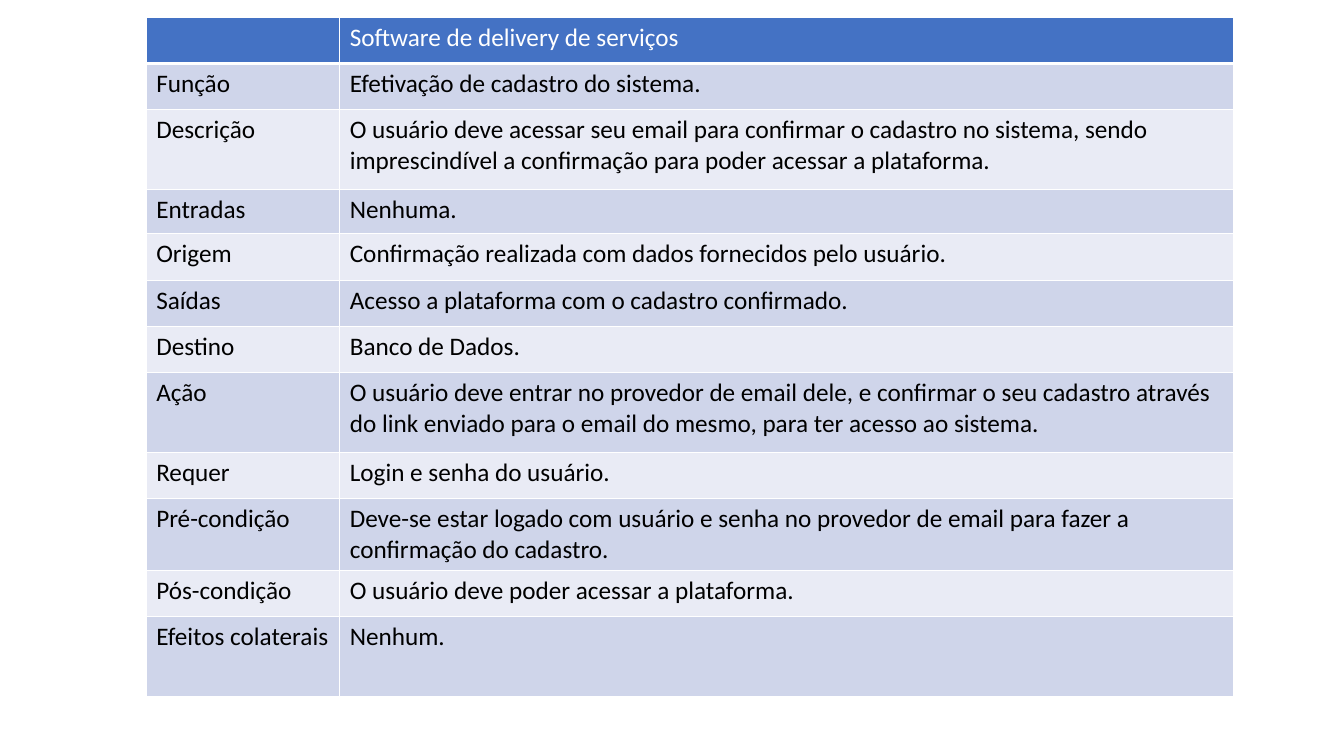
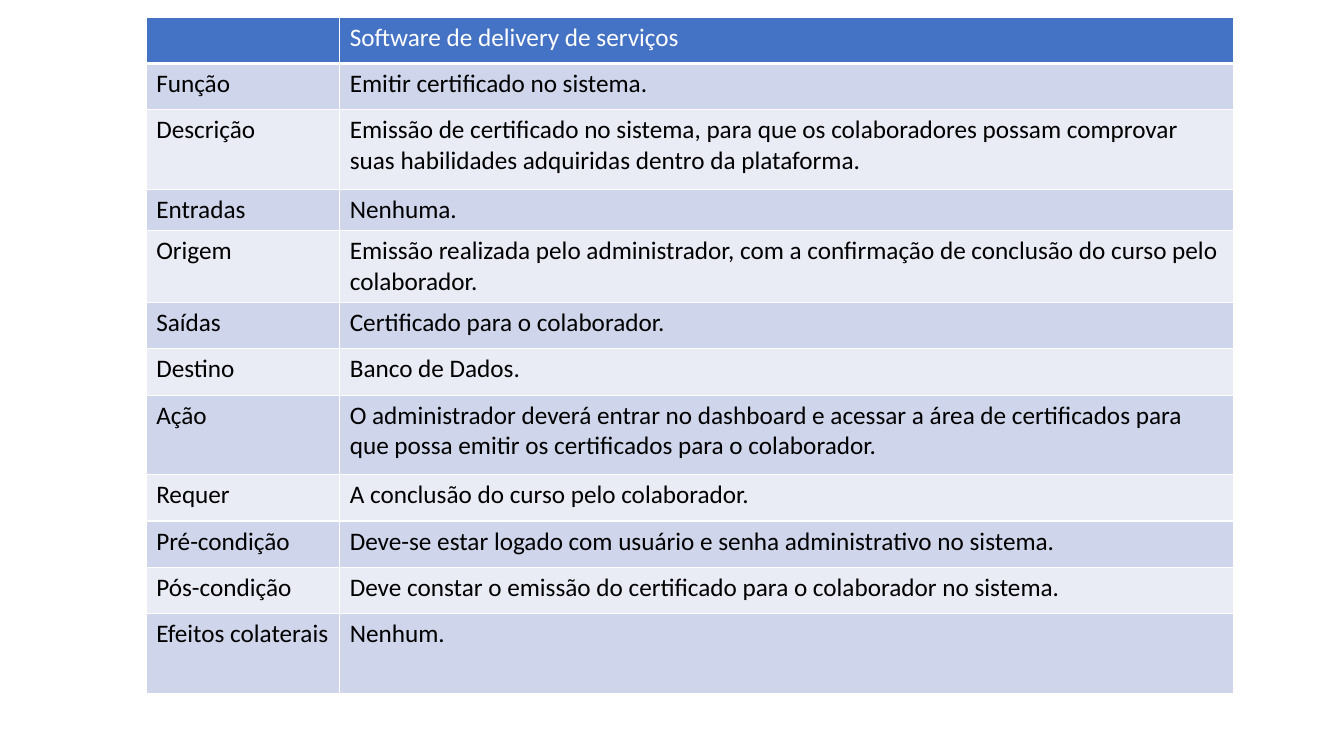
from lxml.etree import SubElement
from pptx import Presentation
from pptx.dml.color import RGBColor
from pptx.oxml.ns import qn
from pptx.util import Inches, Pt

# Shared look
FONT, TEXT_SIZE = "Calibri", 18
HEADER_FILL, HEADER_TEXT, BODY_TEXT, BORDER = "4472C4", "FFFFFF", "000000", "FFFFFF"
BAND_FILLS = ["E9EBF5", "CFD5EA"]
TABLE_LEFT, TABLE_TOP = 1.45, 0.17
COLUMN_WIDTHS = [1.92, 8.87]
SINGLE_ROW, DOUBLE_ROW = 0.46, 0.79
TALL_LABELS = ["Descrição", "Ação", "Efeitos colaterais"]

# Shared wording
HEADING = "Software de delivery de serviços"
LABELS = ["Função", "Descrição", "Entradas", "Origem", "Saídas", "Destino", "Ação",
          "Requer", "Pré-condição", "Pós-condição", "Efeitos colaterais"]

# One requirement per slide: height of the "Entradas" row, then a value for each label
REQUIREMENTS = [
    (0.44, [
        "Efetivação de cadastro do sistema.",
        "O usuário deve acessar seu email para confirmar o cadastro no sistema, sendo "
        "imprescindível a confirmação para poder acessar a plataforma.",
        "Nenhuma.",
        "Confirmação realizada com dados fornecidos pelo usuário.",
        "Acesso a plataforma com o cadastro confirmado.",
        "Banco de Dados.",
        "O usuário deve entrar no provedor de email dele, e confirmar o seu cadastro através "
        "do link enviado para o email do mesmo, para ter acesso ao sistema.",
        "Login e senha do usuário.",
        "Deve-se estar logado com usuário e senha no provedor de email para fazer a "
        "confirmação do cadastro.",
        "O usuário deve poder acessar a plataforma.",
        "Nenhum.",
    ]),
    (0.41, [
        "Emitir certificado no sistema.",
        "Emissão de certificado no sistema, para que os colaboradores possam comprovar "
        "suas habilidades adquiridas dentro da plataforma.",
        "Nenhuma.",
        "Emissão realizada pelo administrador, com a confirmação de conclusão do curso pelo "
        "colaborador.",
        "Certificado para o colaborador.",
        "Banco de Dados.",
        "O administrador deverá entrar no dashboard e acessar a área de certificados para "
        "que possa emitir os certificados para o colaborador.",
        "A conclusão do curso pelo colaborador.",
        "Deve-se estar logado com usuário e senha administrativo no sistema.",
        "Deve constar o emissão do certificado para o colaborador no sistema.",
        "Nenhum.",
    ]),
]


def color(hex_value):
    return RGBColor.from_string(hex_value)


def add_borders(cell, bottom_width):
    """Draw the four sides of a cell; only the bottom width varies."""
    properties = cell._tc.get_or_add_tcPr()
    for side, width in [("L", 1), ("R", 1), ("T", 1), ("B", bottom_width)]:
        line = SubElement(properties, qn(f"a:ln{side}"), w=str(Pt(width)))
        fill = SubElement(line, qn("a:solidFill"))
        SubElement(fill, qn("a:srgbClr"), val=BORDER)


deck = Presentation()
deck.slide_width, deck.slide_height = Inches(13.33), Inches(7.5)
blank_layout = deck.slide_layouts[6]

for entry_height, values in REQUIREMENTS:
    page = deck.slides.add_slide(blank_layout)
    rows = [("", HEADING), *zip(LABELS, values)]
    heights = [entry_height if label == "Entradas"
               else DOUBLE_ROW if label in TALL_LABELS else SINGLE_ROW
               for label, value in rows]

    # Table grid
    table = page.shapes.add_table(
        len(rows), len(COLUMN_WIDTHS), Inches(TABLE_LEFT), Inches(TABLE_TOP),
        Inches(sum(COLUMN_WIDTHS)), Inches(sum(heights))).table
    for column, width in zip(table.columns, COLUMN_WIDTHS):
        column.width = Inches(width)

    # Header row, then alternating bands
    for row_index, texts in enumerate(rows):
        is_header = row_index == 0
        table.rows[row_index].height = Inches(heights[row_index])
        for column_index, text in enumerate(texts):
            cell = table.cell(row_index, column_index)
            add_borders(cell, 3 if is_header else 1)
            cell.fill.solid()
            cell.fill.fore_color.rgb = color(
                HEADER_FILL if is_header else BAND_FILLS[row_index % 2])
            cell.text_frame.text = text
            for span in cell.text_frame.paragraphs[0].runs:
                span.font.name = FONT
                span.font.size = Pt(TEXT_SIZE)
                span.font.bold = False
                span.font.color.rgb = color(HEADER_TEXT if is_header else BODY_TEXT)

deck.save("out.pptx")
